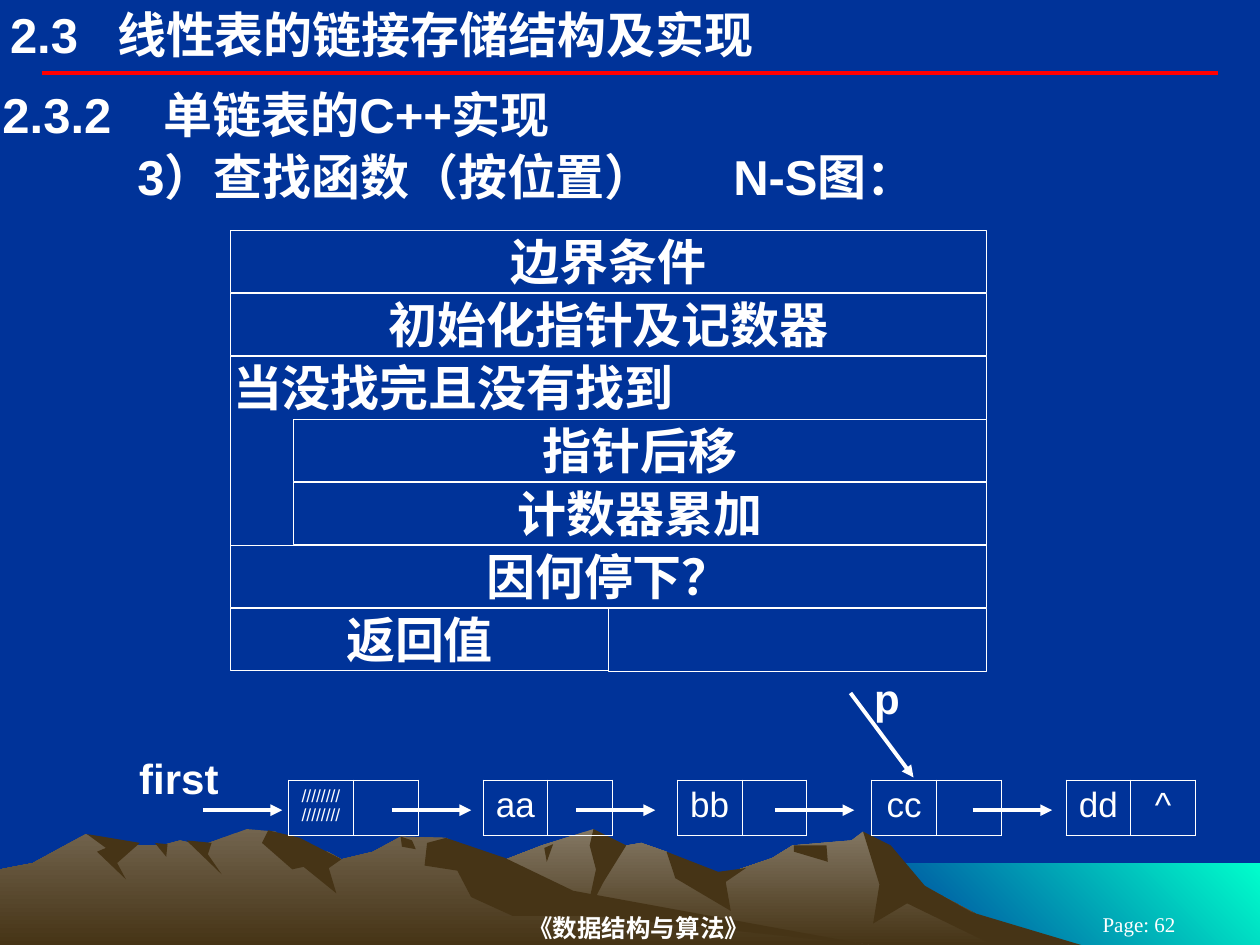
"""Build the slide on position lookup in a singly linked list, with its N-S chart."""
from dataclasses import dataclass

from lxml import etree
from pptx import Presentation
from pptx.dml.color import RGBColor
from pptx.enum.shapes import MSO_CONNECTOR, MSO_SHAPE
from pptx.enum.text import MSO_ANCHOR, PP_ALIGN
from pptx.oxml.ns import qn
from pptx.util import Inches, Pt

LEFT, CENTER = PP_ALIGN.LEFT, PP_ALIGN.CENTER
TOP, MIDDLE = MSO_ANCHOR.TOP, MSO_ANCHOR.MIDDLE
RECTANGLE, STRAIGHT = MSO_SHAPE.RECTANGLE, MSO_CONNECTOR.STRAIGHT


@dataclass(frozen=True)
class Theme:
    sans: str = "Arial"
    serif: str = "Times New Roman"
    night: str = "003399"
    white: str = "FFFFFF"
    red: str = "FF0000"
    sea: str = "00FFCC"
    far_ridge: str = "837763"
    near_ridge: str = "72644E"
    earth: str = "463416"
    heading: int = 28
    pointer: int = 24
    node: int = 20
    footer: int = 14
    page: int = 12
    hatch: int = 10


theme = Theme()


def write(frame, text, size, align=CENTER, bold=True, font=theme.sans, anchor=TOP, tab=None, indent=0.02):
    frame.word_wrap = True
    frame.vertical_anchor = anchor
    frame.margin_left, frame.margin_right = Inches(indent), Inches(0.02)
    frame.margin_top = frame.margin_bottom = Inches(0.01)
    paragraph = frame.paragraphs[0]
    paragraph.text = text
    paragraph.alignment = align
    if tab:
        stops = etree.SubElement(paragraph._p.get_or_add_pPr(), qn("a:tabLst"))
        etree.SubElement(stops, qn("a:tab"), pos=str(Inches(tab)), algn="l")
    for run in paragraph.runs:
        run.font.name, run.font.size, run.font.bold = font, Pt(size), bold
        run.font.color.rgb = RGBColor.from_string(theme.white)


def draw_line(start, end, color, arrow):
    line = shapes.add_connector(STRAIGHT, *(Inches(value) for value in (*start, *end)))
    line.line.color.rgb = RGBColor.from_string(color)
    line.line.width = Pt(2.25)
    properties = line._element.spPr
    if arrow:
        etree.SubElement(properties.find(qn("a:ln")), qn("a:tailEnd"), type="triangle")
    etree.SubElement(properties, qn("a:effectLst"))


presentation = Presentation()
presentation.slide_width, presentation.slide_height = Inches(10), Inches(7.5)
slide = presentation.slides.add_slide(presentation.slide_layouts[6])
slide.background.fill.solid()
slide.background.fill.fore_color.rgb = RGBColor.from_string(theme.night)
shapes = slide.shapes

sea = (theme.sea, theme.night, 225)
far_ridge = (theme.far_ridge, theme.earth, 270)
near_ridge = (theme.near_ridge, theme.earth, 270)
shade = (theme.earth,)
landscape = [
    (sea, [(683, 685), (1000, 685), (1000, 750), (683, 750)]),
    (far_ridge, [
        (821, 750), (723, 698), (685, 660), (676, 667), (629, 671), (613, 681), (566, 697),
        (536, 690), (529, 676), (509, 669), (486, 673), (471, 658), (430, 671), (394, 685),
        (327, 709), (258, 750)]),
    (shade, [
        (685, 660), (698, 702), (693, 733), (720, 717), (788, 750), (858, 750), (771, 724),
        (734, 703), (707, 671)]),
    (shade, [(471, 658), (468, 671), (473, 690), (465, 727), (479, 700), (497, 671)]),
    (shade, [(529, 676), (536, 697), (580, 723), (576, 700), (592, 689), (570, 692)]),
    (shade, [(630, 671), (630, 676), (657, 684), (656, 671)]),
    (shade, [(432, 673), (439, 670), (434, 684)]),
    (near_ridge, [
        (690, 750), (432, 712), (354, 665), (318, 664), (296, 676), (271, 682), (260, 676),
        (236, 681), (219, 660), (196, 658), (160, 671), (143, 667), (128, 671), (94, 671),
        (68, 662), (26, 685), (0, 690), (0, 750)]),
    (shade, [
        (213, 659), (208, 669), (232, 690), (241, 688), (267, 709), (261, 689), (271, 682),
        (238, 665)]),
    (shade, [
        (354, 665), (339, 669), (337, 687), (363, 691), (374, 712), (407, 727), (472, 727),
        (690, 750), (455, 707), (401, 681)]),
    (shade, [(318, 664), (327, 667), (330, 674), (319, 672)]),
    (shade, [(148, 667), (168, 669), (165, 678), (176, 694)]),
    (shade, [(123, 669), (133, 670), (132, 680)]),
    (shade, [(69, 662), (111, 669), (93, 685), (100, 698), (77, 676), (84, 673)]),
]
for colors, outline in landscape:
    builder = shapes.build_freeform(*outline[0], scale=Inches(0.01))
    builder.add_line_segments(outline[1:], close=True)
    terrain = builder.convert_to_shape()
    terrain.shadow.inherit = False
    terrain.line.fill.background()
    if len(colors) == 1:
        terrain.fill.solid()
        terrain.fill.fore_color.rgb = RGBColor.from_string(colors[0])
    else:
        *stop_colors, angle = colors
        terrain.fill.gradient()
        terrain.fill.gradient_angle = angle
        for stop, color in zip(terrain.fill.gradient_stops, stop_colors):
            stop.color.rgb = RGBColor.from_string(color)

draw_line((0.33, 0.58), (9.67, 0.58), theme.red, False)

heading = dict(size=theme.heading, align=LEFT)
pointer = dict(size=theme.pointer)
footer = dict(size=theme.footer, font=theme.serif, anchor=MIDDLE)
page = dict(size=theme.page, font=theme.serif, anchor=MIDDLE, bold=False)
labels = [
    ((0.08, 0.03, 6.5, 0.47), "2.3\t线性表的链接存储结构及实现", dict(heading, tab=0.85, indent=0)),
    ((0, 0.66, 10, 0.49), "2.3.2\t单链表的C++实现", dict(heading, tab=1.28)),
    ((0, 1.15, 10, 0.49), "3）查找函数（按位置）\tN-S图：", dict(heading, tab=4.73, indent=1.09)),
    ((0.83, 5.96, 1.18, 0.42), "first", pointer),
    ((6.75, 5.33, 0.58, 0.42), "p", pointer),
    ((2.04, 7.22, 6.06, 0.28), "《数据结构与算法》", footer),
    ((8.25, 7.25, 1.58, 0.17), "Page: 62", page),
]
for place, text, look in labels:
    label = shapes.add_textbox(*(Inches(value) for value in place))
    write(label.text_frame, text, **look)

node_texts = {0: "/" * 16, 3: "aa", 6: "bb", 9: "cc", 12: "dd", 13: "^"}
linked_list = shapes.add_table(1, 14, Inches(2.29), Inches(6.19), Inches(7.2), Inches(0.44)).table
linked_list.first_row = linked_list.horz_banding = False
for column, cell in enumerate(linked_list.rows[0].cells):
    is_gap = column % 3 == 2
    for edge in ("lnL", "lnR", "lnT", "lnB"):
        border = etree.SubElement(cell._tc.get_or_add_tcPr(), qn(f"a:{edge}"), w=str(Pt(0.45)))
        if is_gap and edge in ("lnT", "lnB"):
            etree.SubElement(border, qn("a:noFill"))
        else:
            paint = etree.SubElement(border, qn("a:solidFill"))
            etree.SubElement(paint, qn("a:srgbClr"), val=theme.white)
    cell.fill.background()
    if column in node_texts:
        size = theme.hatch if column == 0 else theme.node
        write(cell.text_frame, node_texts[column], size, bold=False)
    cell.margin_left = cell.margin_right = Inches(0.09)
    cell.margin_top = cell.margin_bottom = Inches(0.05)

for link_left in (1.61, 3.11, 4.57, 6.15, 7.72):
    draw_line((link_left, 6.43), (link_left + 0.63, 6.43), theme.white, True)
draw_line((6.75, 5.5), (7.25, 6.17), theme.white, True)

steps = [
    (1.83, 0, 6, 0.49, "边界条件"),
    (1.83, 1, 6, 0.49, "初始化指针及记数器"),
    (1.83, 2, 6, 1.5, "当没找完且没有找到"),
    (2.33, 3, 5.5, 0.49, "指针后移"),
    (2.33, 4, 5.5, 0.49, "计数器累加"),
    (1.83, 5, 6, 0.49, "因何停下？"),
    (1.83, 6, 3, 0.49, "返回值"),
    (4.83, 6, 3, 0.5, ""),
]
for left, row, width, height, text in steps:
    step = shapes.add_shape(RECTANGLE, Inches(left), Inches(1.83 + 0.5 * row), Inches(width), Inches(height))
    step.shadow.inherit = False
    step.fill.background()
    if left == 2.33:
        step.fill.solid()
        step.fill.fore_color.rgb = RGBColor.from_string(theme.night)
    step.line.color.rgb = RGBColor.from_string(theme.white)
    step.line.width = Pt(0.75)
    write(step.text_frame, text, theme.heading, LEFT if height > 1 else CENTER)

presentation.save("out.pptx")
